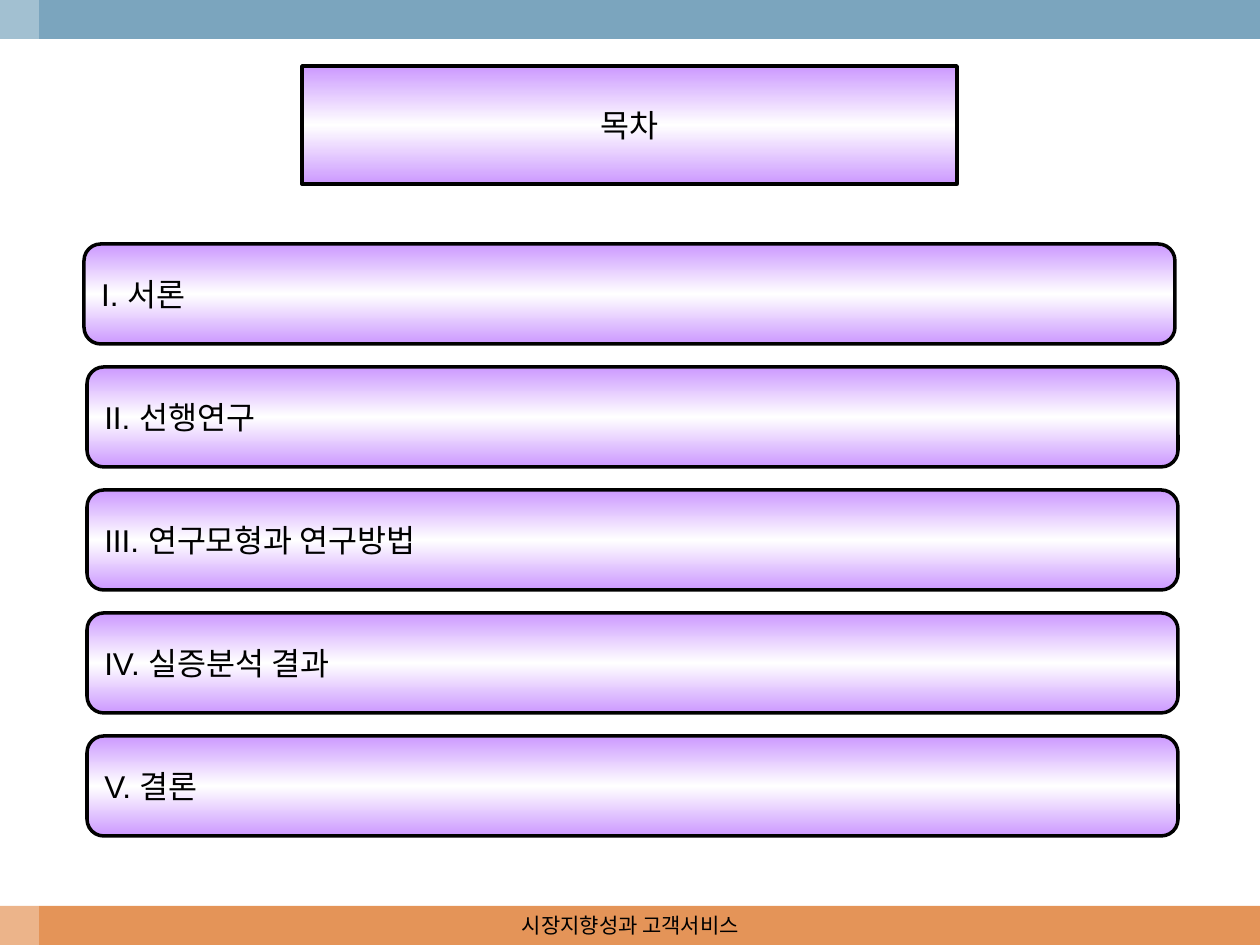
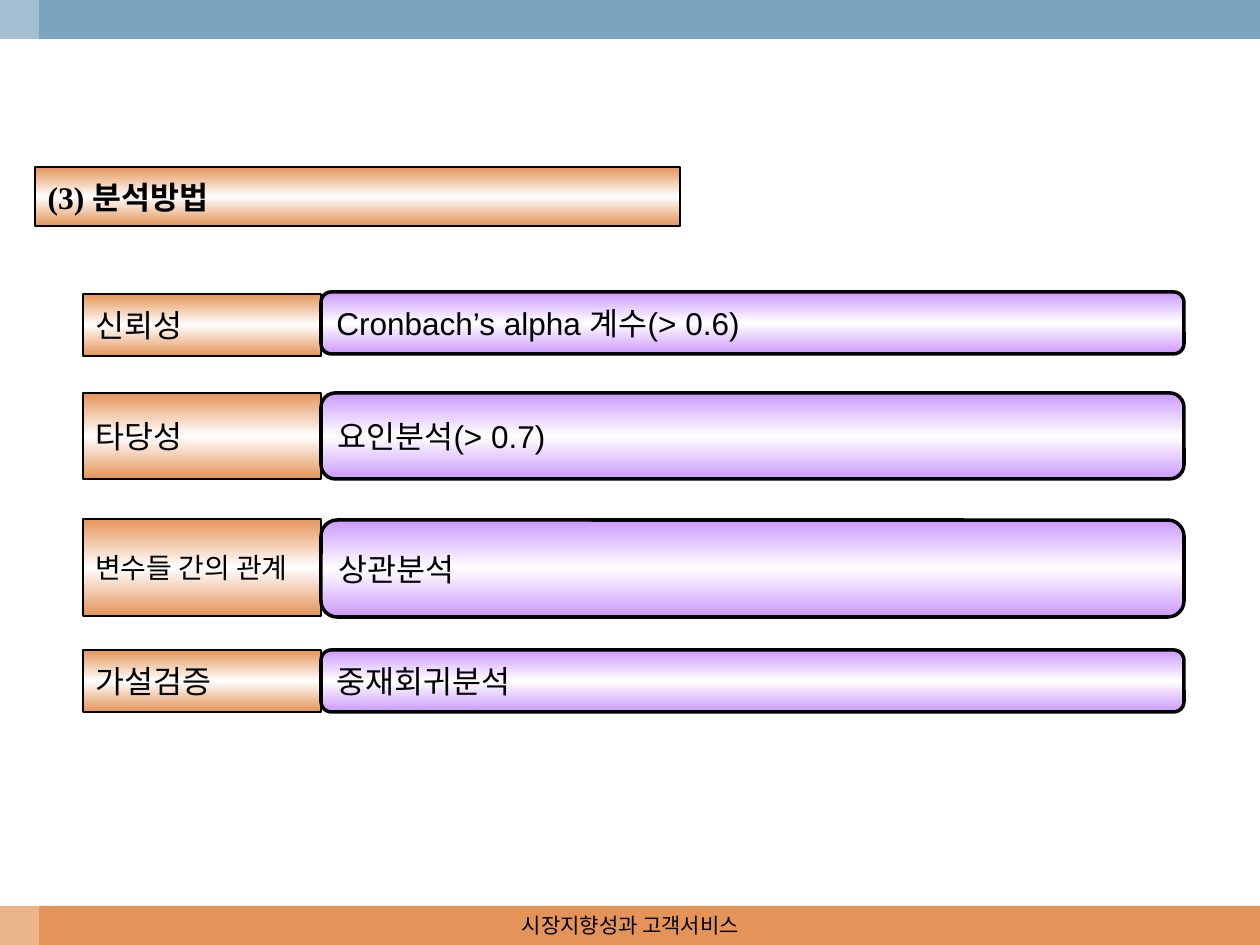
from copy import deepcopy

from lxml.etree import SubElement
from pptx import Presentation
from pptx.dml.color import RGBColor
from pptx.enum.shapes import MSO_SHAPE
from pptx.enum.text import MSO_ANCHOR, MSO_AUTO_SIZE, PP_ALIGN
from pptx.oxml.ns import qn
from pptx.util import Pt

PX = 914400 / 126
W, H, BAND = 1260, 945, 39
COLORS = {"blue": "7BA5BE", "orange": "E49458", "violet": "CC99FF",
          "white": "FFFFFF", "black": "000000"}
RGB = {name: RGBColor.from_string(value) for name, value in COLORS.items()}


def px(*lengths):
    return [round(n * PX) for n in lengths]


def style_box(sp, text, color, line, font, size=18, align=PP_ALIGN.LEFT,
              bold=False, hanging=0):
    """Gradient fill, black outline and one line of text."""
    sp.fill.gradient()
    sp.fill.gradient_angle = 90
    stops = sp._element.spPr.find(qn("a:gradFill")).find(qn("a:gsLst"))
    stops.append(deepcopy(stops[0]))
    for stop, pos, name in zip(sp.fill.gradient_stops, (0, 0.5, 1), (color, "white", color)):
        stop.position = pos
        stop.color.rgb = RGB[name]
    sp.line.color.rgb = RGB["black"]
    sp.line.width = Pt(line)
    tf = sp.text_frame
    tf.text = text
    tf.word_wrap = True
    tf.auto_size = MSO_AUTO_SIZE.NONE
    tf.vertical_anchor = MSO_ANCHOR.MIDDLE
    p = tf.paragraphs[0]
    p.alignment = align
    if hanging:
        pPr = p._p.get_or_add_pPr()
        indent = px(hanging)[0]
        pPr.set("marL", str(indent))
        pPr.set("indent", str(-indent))
    p.font.name, p.font.size, p.font.bold = font, Pt(size), bold
    p.font.color.rgb = RGB["black"]


prs = Presentation()
prs.slide_width, prs.slide_height = px(W, H)
layout = prs.slide_layouts[5]
slides = [prs.slides.add_slide(layout) for _ in range(2)]
contents, methods = slides

# Bands, moved into the shared layout
bands = [("orange", (0, H - BAND, W, BAND)), ("blue", (0, 0, W, BAND)),
         ("white", (0, 0, BAND, H))]
for i, (color, place) in enumerate(bands):
    sp = contents.shapes.add_shape(MSO_SHAPE.RECTANGLE, *px(*place))
    sp.shadow.inherit = False
    sp.fill.solid()
    sp.fill.fore_color.rgb = RGB[color]
    sp.line.fill.background()
    if color == "white":
        clr = sp._element.spPr.find(qn("a:solidFill"))[0]
        SubElement(clr, qn("a:alpha")).set("val", "30000")
    layout.shapes._spTree.insert(2 + i, sp._element)

# Footer and title on each slide
titles = [
    ("목차", "roundRect", (302, 66, 655, 118),
     dict(color="violet", line=2, font="Arial", align=PP_ALIGN.CENTER, hanging=48)),
    ("(3) 분석방법", "rect", (35, 167, 645, 59),
     dict(color="orange", line=0.75, font="Times New Roman", bold=True)),
]
for s, (text, preset, place, style) in zip(slides, titles):
    tf = s.shapes.add_textbox(*px(431, H - BAND, 399, BAND)).text_frame
    tf.word_wrap = True
    tf.vertical_anchor = MSO_ANCHOR.MIDDLE
    p = tf.paragraphs[0]
    p.text = "시장지향성과 고객서비스"
    p.alignment = PP_ALIGN.CENTER
    p.font.name, p.font.size = "Cambria", Pt(12)
    p.font.color.rgb = RGB["black"]

    title = s.shapes.title
    title.left, title.top, title.width, title.height = px(*place)
    geom = SubElement(title._element.spPr, qn("a:prstGeom"))
    geom.set("prst", preset)
    SubElement(geom, qn("a:avLst"))
    style_box(title, text, **style)

# Slide 1: chapters
chapters = ["I. 서론", "II. 선행연구", "III. 연구모형과 연구방법", "IV. 실증분석 결과", "V. 결론"]
for i, chapter in enumerate(chapters):
    left = 87 if i else 84
    sp = contents.shapes.add_shape(MSO_SHAPE.ROUNDED_RECTANGLE,
                                   *px(left, 244 + 123 * i, 1091, 100))
    sp.shadow.inherit = False
    style_box(sp, chapter, "violet", 2, "Arial", hanging=48)

# Slide 2: purpose and method of each analysis
rows = [
    ("신뢰성", 18, "Cronbach’s alpha 계수(> 0.6)", 294, 292, 62),
    ("타당성", 18, "요인분석(> 0.7)", 393, 393, 86),
    ("변수들 간의 관계", 16, "상관분석", 519, 520, 97),
    ("가설검증", 18, "중재회귀분석", 650, 650, 62),
]
for label, size, method, label_top, method_top, height in rows:
    sp = methods.shapes.add_shape(MSO_SHAPE.RECTANGLE, *px(83, label_top, 238, height))
    sp.shadow.inherit = False
    style_box(sp, label, "orange", 0.75, "Times New Roman", size)
    sp = methods.shapes.add_shape(MSO_SHAPE.ROUNDED_RECTANGLE, *px(321, method_top, 863, height))
    sp.shadow.inherit = False
    style_box(sp, method, "violet", 2, "Arial")

prs.save("out.pptx")
